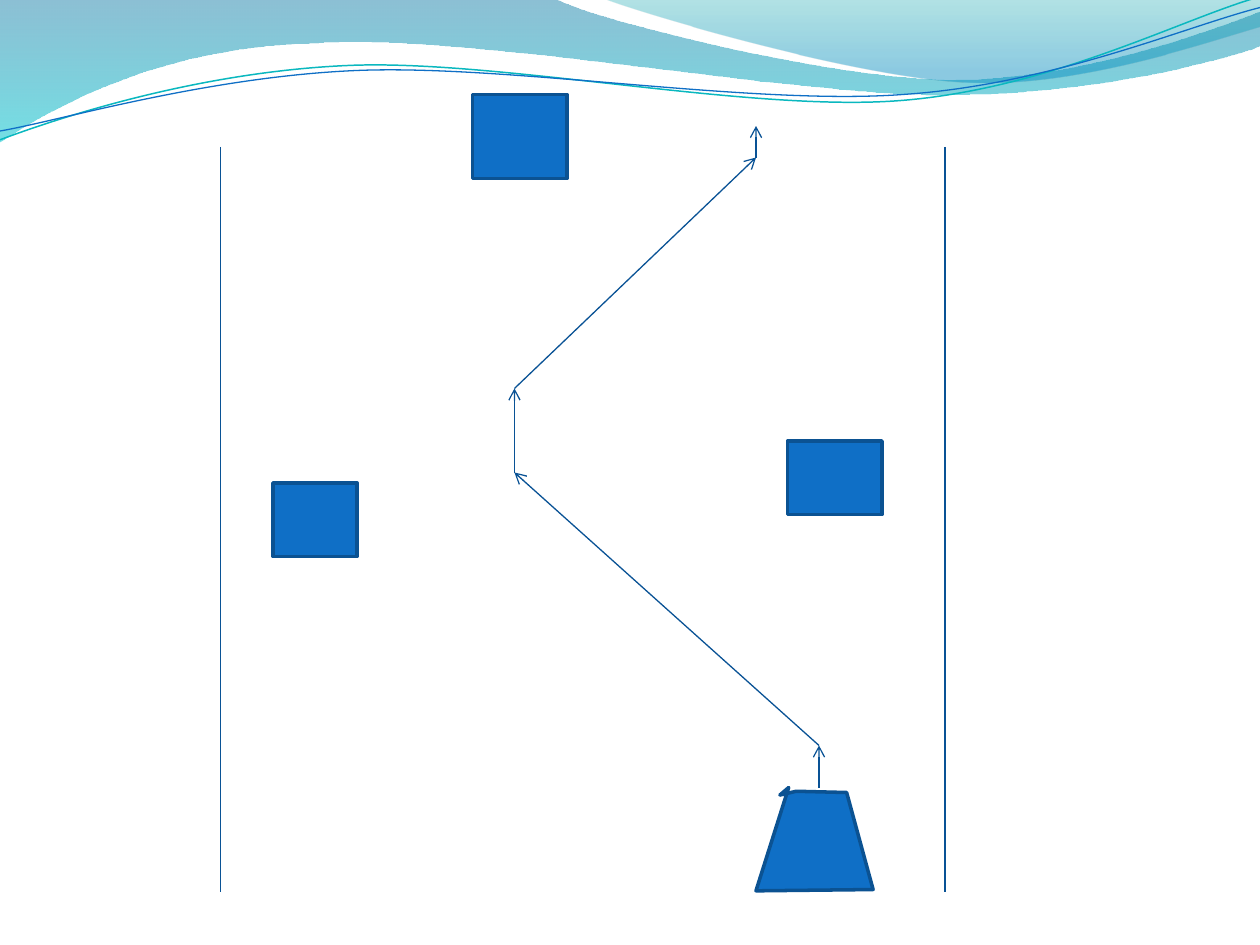
from dataclasses import dataclass
from itertools import chain, pairwise

from lxml import etree
from pptx import Presentation
from pptx.dml.color import RGBColor
from pptx.enum.shapes import MSO_CONNECTOR, MSO_SHAPE
from pptx.oxml.ns import qn
from pptx.util import Inches, Pt

RECTANGLE = MSO_SHAPE.RECTANGLE
STRAIGHT = MSO_CONNECTOR.STRAIGHT
BLANK_LAYOUT = 6
GRID = 12  # grid cells per inch

BLUE = RGBColor(0x0F, 0x6F, 0xC6)
OUTLINE_BLUE = RGBColor(0x0B, 0x52, 0x92)
LINE_BLUE = RGBColor(0x09, 0x52, 0x95)
AQUA = RGBColor(0x0A, 0xB8, 0xBF)
DEEP_TEAL = RGBColor(0x00, 0x74, 0xA1)
BRIGHT_TEAL = RGBColor(0x00, 0xC6, 0xCF)
GREEN_TEAL = RGBColor(0x00, 0xA1, 0xA9)
SKY_TEAL = RGBColor(0x00, 0x8B, 0xBF)

Point = tuple[float, float]
Segments = list[list[Point]]  # one point: straight; three points: Bézier


@dataclass(frozen=True)
class Stop:
    position: float
    color: RGBColor
    opacity: int  # percent


@dataclass(frozen=True)
class Band:
    """A filled wave."""
    start: Point
    segments: Segments
    stops: tuple[Stop, Stop]


@dataclass(frozen=True)
class Strand:
    """A thin wavy line."""
    start: Point
    segments: Segments
    color: RGBColor
    width: float


@dataclass(frozen=True)
class Obstacle:
    """A box, measured in grid cells."""
    left: int
    top: int
    width: int
    height: int


BANDS = [
    Band((0, 0), [
        [(4.4, -0.01)],
        [(4.76, 0.17), (6.64, 0.63), (7.58, 0.63)],
        [(8.53, 0.63), (9.58, 0.26), (10, 0.09)],
        [(10.01, 0.36)],
        [(9.83, 0.44), (8.7, 0.76), (7.46, 0.75)],
        [(6.22, 0.75), (3.82, 0.28), (2.57, 0.34)],
        [(1.29, 0.36), (0.46, 0.83), (-0.01, 1.13)],
        [(0, 0)],
    ], (Stop(0, DEEP_TEAL, 45), Stop(1, BRIGHT_TEAL, 55))),
    Band((4.79, -0.01), [
        [(5.09, 0.11), (6.82, 0.62), (7.69, 0.65)],
        [(8.56, 0.69), (9.61, 0.32), (10, 0.21)],
        [(10, 0)],
        [(4.79, -0.01)],
    ], (Stop(0, GREEN_TEAL, 30), Stop(0.8, SKY_TEAL, 45))),
]
STRANDS = [
    Strand((0, 1.11), [
        [(0.48, 0.93), (1.58, 0.57), (2.77, 0.52)],
        [(3.95, 0.47), (5.93, 0.89), (7.13, 0.8)],
        [(8.33, 0.71), (9.38, 0.15), (9.98, -0.02)],
    ], AQUA, 0.85),
    Strand((0, 1.04), [
        [(0.47, 0.96), (1.64, 0.61), (2.83, 0.56)],
        [(4.03, 0.51), (5.97, 0.84), (7.17, 0.75)],
        [(8.36, 0.67), (9.41, 0.21), (10, 0.06)],
    ], BLUE, 0.75),
]
VEHICLE_START = (6.26, 6.25)
VEHICLE_CORNERS = [(6, 7.07), (6.93, 7.06), (6.72, 6.29), (6.32, 6.28), (6.19, 6.31), VEHICLE_START]

# Corridor, in grid cells
WALLS_X = (21, 90)
WALL_TOP, WALL_BOTTOM = 14, 85
SIDE_OBSTACLES = [Obstacle(75, 42, 9, 7), Obstacle(45, 9, 9, 8)]
FRONT_OBSTACLE = Obstacle(26, 46, 8, 7)
ROUTE = [(78, 75), (78, 71), (49, 45), (49, 37), (72, 15), (72, 12)]


def cells(*counts: int) -> list[Inches]:
    return [Inches(count / GRID) for count in counts]


def add_outline(slide, start: Point, segments: Segments, close: bool):
    """Draw an outline, turning each run of three points into one Bézier."""
    builder = slide.shapes.build_freeform(Inches(start[0]), Inches(start[1]))
    points = [(Inches(x), Inches(y)) for x, y in chain.from_iterable(segments)]
    builder.add_line_segments(points, close=close)
    shape = builder.convert_to_shape()
    shape.shadow.inherit = False
    steps = iter(list(shape.element.spPr.iter(qn("a:lnTo"))))
    for segment in segments:
        first, *others = [next(steps) for _ in segment]
        if others:
            curve = etree.Element(qn("a:cubicBezTo"))
            first.addprevious(curve)
            for step in (first, *others):
                curve.append(step[0])
                step.getparent().remove(step)
    return shape


def add_band(slide, band: Band) -> None:
    shape = add_outline(slide, band.start, band.segments, close=True)
    shape.line.fill.background()
    shape.fill.gradient()
    shape.fill.gradient_angle = 270  # top to bottom
    for gradient_stop, stop in zip(shape.fill.gradient_stops, band.stops):
        gradient_stop.position = stop.position
        gradient_stop.color.rgb = stop.color
    colors = list(shape.element.spPr.iter(qn("a:srgbClr")))
    for color, stop in zip(colors, band.stops):
        etree.SubElement(color, qn("a:alpha"), val=str(stop.opacity * 1000))


def add_strand(slide, strand: Strand) -> None:
    shape = add_outline(slide, strand.start, strand.segments, close=False)
    shape.fill.background()
    shape.line.color.rgb = strand.color
    shape.line.width = Pt(strand.width)


def paint_solid(shape) -> None:
    shape.shadow.inherit = False
    shape.fill.solid()
    shape.fill.fore_color.rgb = BLUE
    shape.line.color.rgb = OUTLINE_BLUE
    shape.line.width = Pt(2)


def add_obstacle(slide, obstacle: Obstacle) -> None:
    frame = cells(obstacle.left, obstacle.top, obstacle.width, obstacle.height)
    paint_solid(slide.shapes.add_shape(RECTANGLE, *frame))


def add_line(slide, start: Point, end: Point, arrow: bool = False) -> None:
    line = slide.shapes.add_connector(STRAIGHT, *cells(*start, *end))
    line.line.color.rgb = LINE_BLUE
    line.line.width = Pt(0.75)
    properties = line.element.spPr
    if arrow:
        etree.SubElement(properties.find(qn("a:ln")), qn("a:tailEnd"), type="arrow")
    etree.SubElement(properties, qn("a:effectLst"))


def main() -> None:
    deck = Presentation()
    deck.slide_width, deck.slide_height = Inches(10), Inches(7.5)
    page = deck.slides.add_slide(deck.slide_layouts[BLANK_LAYOUT])

    # Wave decoration along the top
    for band in BANDS:
        add_band(page, band)
    for strand in STRANDS:
        add_strand(page, strand)

    # Corridor walls, obstacles and vehicle
    for x in WALLS_X:
        add_line(page, (x, WALL_TOP), (x, WALL_BOTTOM))
    for obstacle in SIDE_OBSTACLES:
        add_obstacle(page, obstacle)
    corners = [[corner] for corner in VEHICLE_CORNERS]
    paint_solid(add_outline(page, VEHICLE_START, corners, close=True))

    # Route between the obstacles
    for start, end in pairwise(ROUTE):
        add_line(page, start, end, arrow=True)
    add_obstacle(page, FRONT_OBSTACLE)

    deck.save("out.pptx")


if __name__ == "__main__":
    main()
